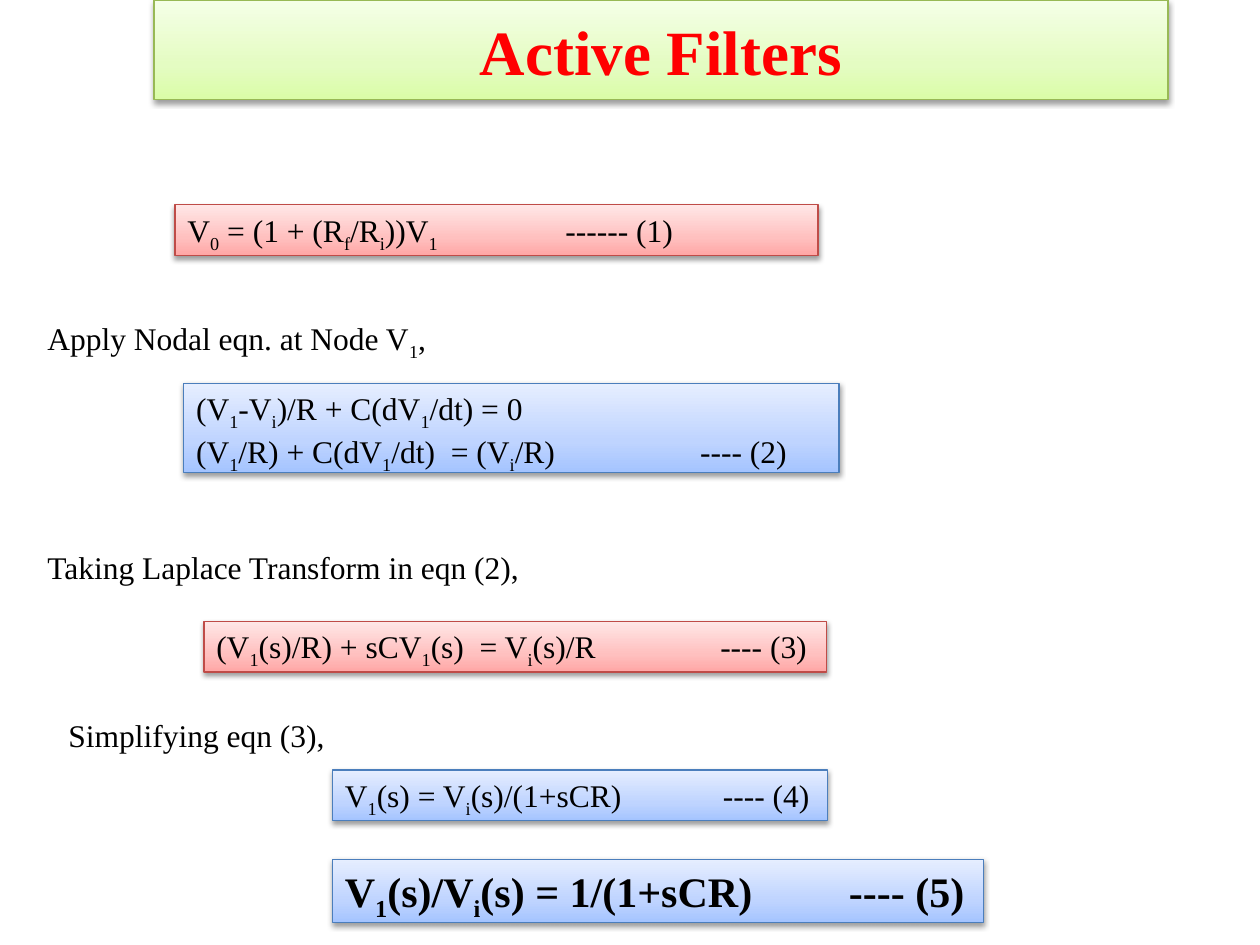
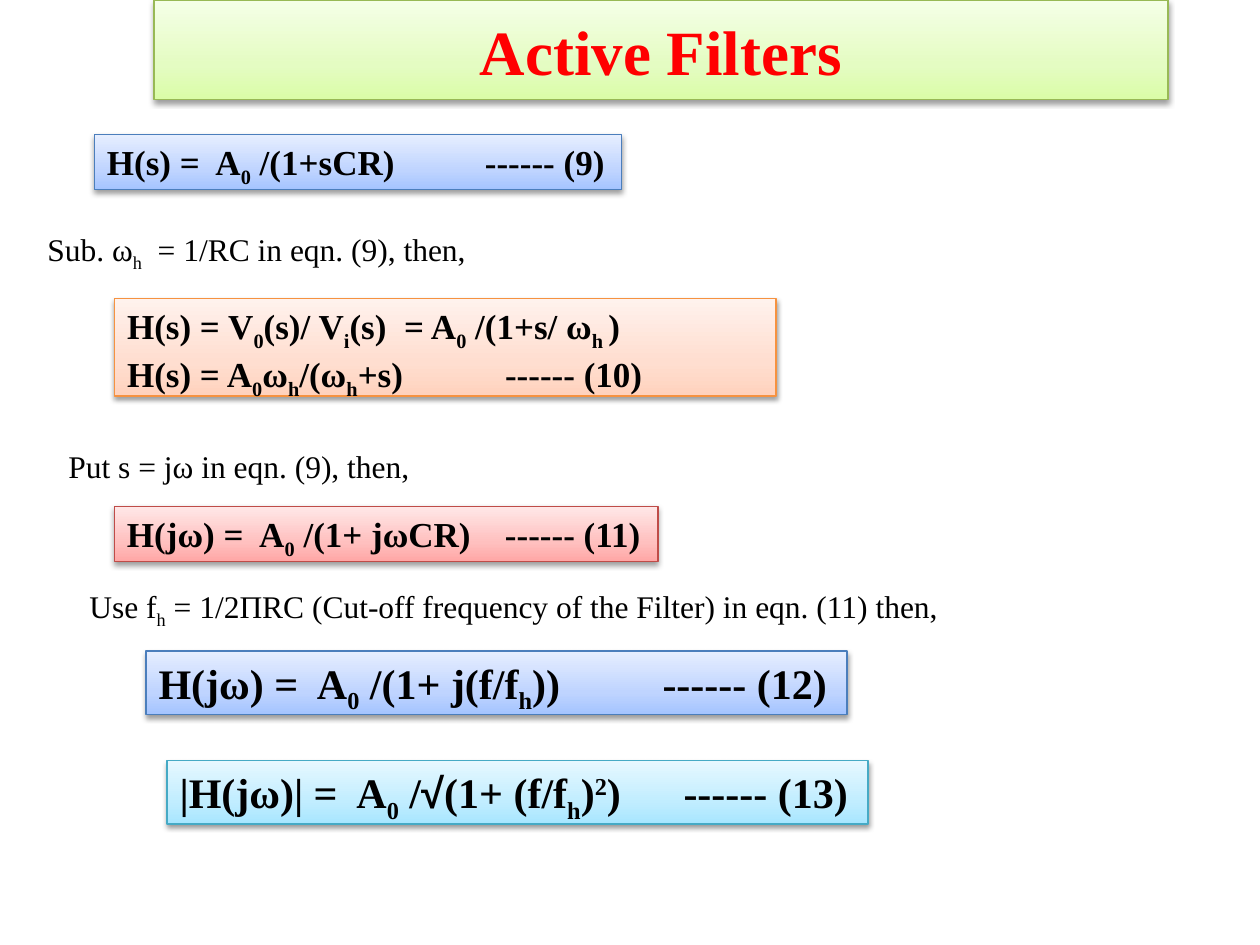
from copy import deepcopy
from dataclasses import dataclass
from functools import partial
from typing import NamedTuple

from lxml import etree
from pptx import Presentation
from pptx.dml.color import RGBColor
from pptx.enum.shapes import MSO_SHAPE
from pptx.enum.text import MSO_ANCHOR, MSO_AUTO_SIZE, PP_ALIGN
from pptx.oxml.ns import qn
from pptx.util import Pt

RECTANGLE = MSO_SHAPE.RECTANGLE
TOP, MIDDLE = MSO_ANCHOR.TOP, MSO_ANCHOR.MIDDLE
NO_AUTOFIT = MSO_AUTO_SIZE.NONE
LEFT, CENTER = PP_ALIGN.LEFT, PP_ALIGN.CENTER

SERIF = "Times New Roman"
NARROW = "Arial Narrow"
TITLE_ONLY = 5
INCH = 72
LINE_FACTOR = 1.215
VERTICAL_INSETS = 7.2
STOP_POSITIONS = (0, 0.35, 1)

COLORS = {
    "title": "FF0000",
    "text": "000000",
    "shadow": "000000",
}


class Tint(NamedTuple):
    stops: tuple[str, str, str]
    border: str


TINTS = {
    "green": Tint(("DAFDA7", "E4FCC2", "F5FFE7"), "98B955"),
    "red": Tint(("FFA6A5", "FFC0BF", "FFE7E7"), "BF4C48"),
    "blue": Tint(("A4C4FF", "BFD4FF", "E6EEFF"), "4B7EBC"),
    "orange": Tint(("FFD2BD", "FFDED0", "FFF2ED"), "F69240"),
    "aqua": Tint(("A7E6FF", "C1EDFF", "E7F8FF"), "46AAC5"),
}


class Piece(NamedTuple):
    text: str
    baseline: int = 0
    font: str = SERIF


sub = partial(Piece, baseline=-25)
sup = partial(Piece, baseline=30)
Line = tuple[str | Piece, ...]


@dataclass(frozen=True)
class Step:
    left: float
    top: float
    width: float
    line: Line


@dataclass(frozen=True)
class Equation:
    tint: str
    left: float
    top: float
    width: float
    lines: tuple[Line, ...]
    number_at: int
    size: int = 18
    bold: bool = False


LOW_PASS_DERIVATION = (
    Equation("red", 100, 117, 367.5,
             (("V", sub("0"), " = (1 + (R", sub("f"), "/R", sub("i"), "))V", sub("1"),
               "\t------ (1)"),), 3),
    Step(20, 179, 237, ("Apply Nodal eqn. at Node V", sub("1"), ",")),
    Equation("blue", 105, 219, 374.5,
             (("(V", sub("1"), "-V", sub("i"), ")/R + C(dV", sub("1"), "/dt) = 0"),
              ("(V", sub("1"), "/R) + C(dV", sub("1"), "/dt)  = (V", sub("i"),
               "/R)\t---- (2)")), 4),
    Step(20, 309.5, 292, ("Taking Laplace Transform in eqn (2),",)),
    Equation("red", 116.5, 355, 356,
             (("(V", sub("1"), "(s)/R) + sCV", sub("1"), "(s)  = V", sub("i"),
               "(s)/R\t---- (3)"),), 4),
    Step(32, 405.5, 167, ("Simplifying eqn (3),",)),
    Equation("blue", 190, 440, 283,
             (("V", sub("1"), "(s) = V", sub("i"), "(s)/(1+sCR)\t---- (4)"),), 3),
    Equation("blue", 190, 491, 372,
             (("V", sub("1"), "(s)/V", sub("i"), "(s) = 1/(1+sCR)\t---- (5)"),),
             4, 24, True),
)

FREQUENCY_RESPONSE = (
    Equation("blue", 54, 77, 301,
             (("H(s) =  A", sub("0"), " /(1+sCR)\t------ (9)"),), 3, 20, True),
    Step(20, 128, 260, ("Sub. ω", sub("h"), "  = 1/RC in eqn. (9), then,")),
    Equation("orange", 65.5, 170.5, 378,
             (("H(s) = V", sub("0"), "(s)/ V", sub("i"), "(s)  = A", sub("0"),
               " /(1+s/ ω", sub("h "), ")"),
              ("H(s) = A", sub("0"), "ω", sub("h"), "/(ω", sub("h"),
               "+s)\t------ (10)")), 3, 20, True),
    Step(32, 252, 212, ("Put s = jω in eqn. (9), then,",)),
    Equation("red", 65.5, 289.5, 310.5,
             (("H(jω) =  A", sub("0"), " /(1+ jωCR)\t------ (11)"),), 3, 20, True),
    Step(44, 332, 510, ("Use f", sub("h"),
                        " = 1/2ΠRC (Cut-off frequency of the Filter) in eqn. (11) then,")),
    Equation("blue", 83.5, 372, 400.5,
             (("H(jω) =  A", sub("0"), " /(1+ j(f/f", sub("h"), "))\t------ (12)"),),
             4, 24, True),
    Equation("aqua", 95.5, 434.5, 400.5,
             (("|H(jω)| =  A", sub("0"), " /", Piece("√", font=NARROW), "(1+ (f/f",
               sub("h"), ")", sup("2"), ")\t------ (13)"),), 4, 24, True),
)


def rgb(color: str) -> RGBColor:
    return RGBColor.from_string(color)


def apply_tint(shape, tint: Tint) -> None:
    shape.fill.gradient()
    shape.fill.gradient_angle = 90
    stop_list = shape._element.spPr.find(qn("a:gradFill")).find(qn("a:gsLst"))
    stop_list.append(deepcopy(stop_list[0]))
    for stop, position, color in zip(shape.fill.gradient_stops, STOP_POSITIONS, tint.stops):
        stop.position = position
        stop.color.rgb = rgb(color)
    shape.line.color.rgb = rgb(tint.border)
    shape.line.width = Pt(0.75)
    add_shadow(shape)


def add_shadow(shape) -> None:
    shape.shadow.inherit = False
    effects = shape._element.spPr.find(qn("a:effectLst"))
    shadow = etree.SubElement(effects, qn("a:outerShdw"), blurRad=str(Pt(3.1)),
                              dist=str(Pt(1.6)), dir="5400000", rotWithShape="0")
    color = etree.SubElement(shadow, qn("a:srgbClr"), val=COLORS["shadow"])
    etree.SubElement(color, qn("a:alpha"), val="38000")


def write_line(paragraph, line: Line, size: int, bold: bool = False,
               color: str = "text", align=LEFT) -> None:
    paragraph.alignment = align
    for part in line:
        piece = Piece(part) if isinstance(part, str) else part
        run = paragraph.add_run()
        run.text = piece.text
        run.font.name = piece.font
        run.font.size = Pt(size)
        run.font.bold = bold
        run.font.color.rgb = rgb(COLORS[color])
        if piece.baseline:
            run._r.get_or_add_rPr().set("baseline", str(piece.baseline * 1000))


def prepare_frame(shape, anchor):
    frame = shape.text_frame
    frame.word_wrap = True
    frame.auto_size = NO_AUTOFIT
    frame.vertical_anchor = anchor
    return frame


def text_height(size: int, line_count: int = 1) -> Pt:
    return Pt(size * LINE_FACTOR * line_count + VERTICAL_INSETS)


def set_number_tab(paragraph, inches: int) -> None:
    tabs = etree.SubElement(paragraph._p.get_or_add_pPr(), qn("a:tabLst"))
    etree.SubElement(tabs, qn("a:tab"), pos=str(Pt(inches * INCH)), algn="l")


def add_title(slide) -> None:
    title = slide.shapes.title
    title.left, title.top, title.width, title.height = Pt(88), Pt(0), Pt(579.5), Pt(57)
    apply_tint(title, TINTS["green"])
    frame = prepare_frame(title, MIDDLE)
    write_line(frame.paragraphs[0], ("Active Filters",), 36, True, "title", CENTER)


def add_step(slide, step: Step) -> None:
    caption = slide.shapes.add_textbox(Pt(step.left), Pt(step.top), Pt(step.width),
                                       text_height(18))
    write_line(prepare_frame(caption, TOP).paragraphs[0], step.line, 18)


def add_equation(slide, equation: Equation) -> None:
    panel = slide.shapes.add_shape(RECTANGLE, Pt(equation.left), Pt(equation.top),
                                   Pt(equation.width),
                                   text_height(equation.size, len(equation.lines)))
    apply_tint(panel, TINTS[equation.tint])
    frame = prepare_frame(panel, TOP)
    for index, line in enumerate(equation.lines):
        paragraph = frame.add_paragraph() if index else frame.paragraphs[0]
        set_number_tab(paragraph, equation.number_at)
        write_line(paragraph, line, equation.size, equation.bold)


def main() -> None:
    deck = Presentation()
    deck.slide_width, deck.slide_height = Pt(720), Pt(540)
    for derivation in (LOW_PASS_DERIVATION, FREQUENCY_RESPONSE):
        slide = deck.slides.add_slide(deck.slide_layouts[TITLE_ONLY])
        add_title(slide)
        for entry in derivation:
            if isinstance(entry, Equation):
                add_equation(slide, entry)
            else:
                add_step(slide, entry)
    deck.save("out.pptx")


if __name__ == "__main__":
    main()
